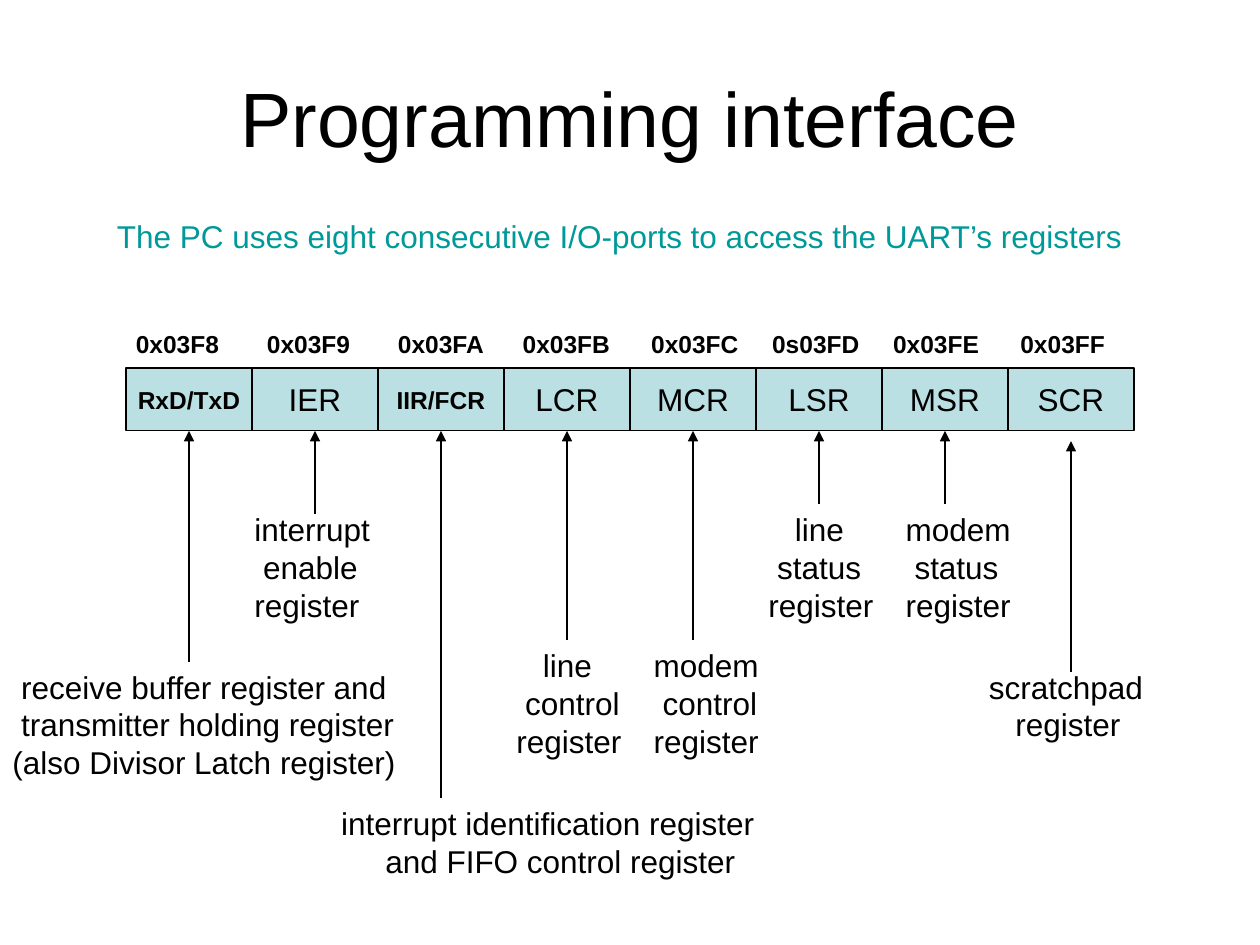
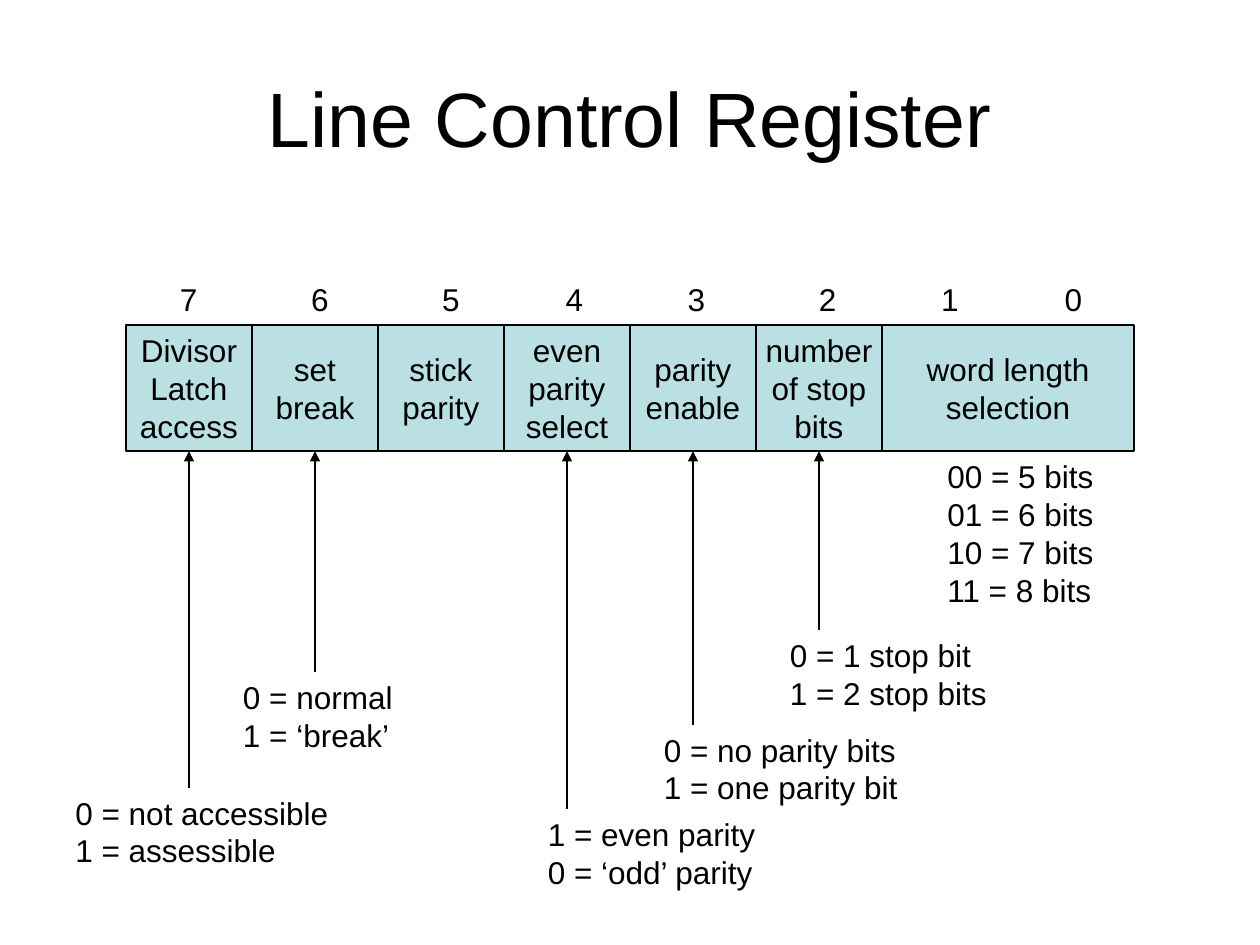
from lxml import etree
from pptx import Presentation
from pptx.dml.color import RGBColor
from pptx.enum.shapes import MSO_CONNECTOR, MSO_SHAPE
from pptx.enum.text import MSO_ANCHOR, PP_ALIGN
from pptx.oxml.ns import qn
from pptx.util import Inches, Pt

STRAIGHT = MSO_CONNECTOR.STRAIGHT
RECTANGLE = MSO_SHAPE.RECTANGLE
MIDDLE = MSO_ANCHOR.MIDDLE
LEFT, CENTER = PP_ALIGN.LEFT, PP_ALIGN.CENTER

COLORS = {"text": "000000", "accent": "009999", "cell": "BBE0E3"}
FONT = "Arial"
BOTTOM_SIDE = 2
ROW_LEFT = 1

# Cells: text, columns spanned, size, bold.
# Labels: text, left, top, width, indent of each line, arrow column, arrow start, arrow gap.
SLIDES = [
    {
        "title": "Programming interface",
        "row_top": 2.92,
        "row_height": 0.5,
        "heads": ["0x03F8", "0x03F9", "0x03FA", "0x03FB",
                  "0x03FC", "0s03FD", "0x03FE", "0x03FF"],
        "head_box": (0.98, 2.56, 7.93, 0.34),
        "head_tabs": [1.04, 2.08, 3.07, 4.09, 5.05, 6.01, 7.02],
        "head_size": 14,
        "head_bold": True,
        "cells": [
            ("RxD/TxD", 1, 14, True), ("IER", 1, 18, False),
            ("IIR/FCR", 1, 14, True), ("LCR", 1, 18, False),
            ("MCR", 1, 18, False), ("LSR", 1, 18, False),
            ("MSR", 1, 18, False), ("SCR", 1, 18, False),
        ],
        "labels": [
            ("receive buffer register and\ntransmitter holding register\n"
             "(also Divisor Latch register)", 0, 5.25, 3.33, (0.07, 0.07, 0), 0, 5.25, 0),
            ("interrupt\nenable\nregister", 1.92, 4, 1.11, (0, 0.07, 0), 1, 4.08, 0),
            ("interrupt identification register\nand FIFO control register",
             2.33, 6.33, 4, (0.28, 0.63), 2, 6.33, 0),
            ("line\ncontrol\nregister", 4, 5.08, 1.03, (0.21, 0.07, 0), 3, 5.08, 0),
            ("modem\ncontrol\nregister", 5.09, 5.08, 1.03, (0, 0.07, 0), 4, 5.08, 0),
            ("line\nstatus\nregister", 6, 4, 1.03, (0.21, 0.07, 0), 5, 4, 0),
            ("modem\nstatus\nregister", 7.09, 4, 1.03, (0, 0.07, 0), 6, 4, 0),
            ("scratchpad\nregister", 7.75, 5.25, 1.42, (0, 0.21), 7, 5.33, 0.08),
        ],
    },
    {
        "title": "Line Control Register",
        "row_top": 2.58,
        "row_height": 1,
        "heads": ["7", "6", "5", "4", "3", "2", "1", "0"],
        "head_box": (1.33, 2.17, 7.35, 0.4),
        "head_tabs": [1.04, 2.08, 3.06, 4.03, 5.07, 6.04, 7.02],
        "head_size": 18,
        "head_bold": False,
        "cells": [
            ("Divisor\nLatch\naccess", 1, 18, False), ("set\nbreak", 1, 18, False),
            ("stick\nparity", 1, 18, False), ("even\nparity\nselect", 1, 18, False),
            ("parity\nenable", 1, 18, False), ("number\nof stop\nbits", 1, 18, False),
            ("word length\nselection", 2, 18, False),
        ],
        "labels": [
            ("0 = not accessible\n1 = assessible", 0.5, 6.25, 2.21, (0, 0), 0, 6.25, 0),
            ("0 = normal\n1 = ‘break’", 1.83, 5.33, 1.39, (0, 0), 1, 5.33, 0),
            ("1 = even parity\n0 = ‘odd’ parity", 4.25, 6.42, 1.84, (0, 0), 3, 6.42, 0),
            ("0 = no parity bits\n1 = one parity bit", 5.17, 5.75, 2.12, (0, 0), 4, 5.75, 0),
            ("0 = 1 stop bit\n1 = 2 stop bits", 6.17, 5, 1.76, (0, 0), 5, 5, 0),
            ("00 = 5 bits\n01 = 6 bits\n10 = 7 bits\n11 = 8 bits",
             7.42, 3.58, 1.36, (0, 0, 0, 0), None, None, 0),
        ],
    },
]


def write_text(shape, text, size=18, color="text", bold=False, align=LEFT):
    shape.text_frame.text = text
    for paragraph in shape.text_frame.paragraphs:
        paragraph.alignment = align
        paragraph.font.name = FONT
        paragraph.font.size = Pt(size)
        paragraph.font.bold = bold
        paragraph.font.color.rgb = RGBColor.from_string(COLORS[color])


def add_text(slide, box, text, **style):
    """Add a text box whose right inset is left free for tight lines."""
    shape = slide.shapes.add_textbox(*map(Inches, box))
    shape.text_frame.word_wrap = True
    shape.text_frame.margin_right = 0
    write_text(shape, text, **style)
    return shape


presentation = Presentation()
presentation.slide_width = Inches(10)
presentation.slide_height = Inches(7.5)

for content in SLIDES:
    slide = presentation.slides.add_slide(presentation.slide_layouts[6])
    title = add_text(slide, (0.5, 0.3, 9, 1.25), content["title"], size=44, align=CENTER)
    title.text_frame.margin_right = Inches(0.1)
    title.text_frame.vertical_anchor = MIDDLE

    # Row of register cells
    cells = []
    column = 0
    row_top, row_height = content["row_top"], content["row_height"]
    for text, span, size, bold in content["cells"]:
        cell = slide.shapes.add_shape(
            RECTANGLE, Inches(ROW_LEFT + column), Inches(row_top),
            Inches(span), Inches(row_height))
        cell.shadow.inherit = False
        cell.fill.solid()
        cell.fill.fore_color.rgb = RGBColor.from_string(COLORS["cell"])
        cell.line.color.rgb = RGBColor.from_string(COLORS["text"])
        cell.line.width = Pt(0.75)
        cell.text_frame.word_wrap = False
        cell.text_frame.vertical_anchor = MIDDLE
        write_text(cell, text, size=size, bold=bold, align=CENTER)
        cells.append(cell)
        column += span

    # Headings above the cells, set on tab stops
    heads = add_text(slide, content["head_box"], "\t".join(content["heads"]),
                     size=content["head_size"], bold=content["head_bold"])
    properties = heads.text_frame.paragraphs[0]._p.get_or_add_pPr()
    tab_list = etree.Element(qn("a:tabLst"))
    for position in content["head_tabs"]:
        etree.SubElement(tab_list, qn("a:tab"), pos=str(Inches(position)), algn="l")
    properties.insert(0, tab_list)

    # Explanations below, each with an arrow up to its cell
    for text, left, top, width, indents, column, start, gap in content["labels"]:
        label = add_text(slide, (left, top, width, 0.1 + 0.3 * len(indents)), text)
        for paragraph, indent in zip(label.text_frame.paragraphs, indents):
            paragraph._p.get_or_add_pPr().set("marL", str(Inches(indent)))
        if column is None:
            continue
        center = Inches(ROW_LEFT + column + 0.5)
        arrow = slide.shapes.add_connector(
            STRAIGHT, center, Inches(start), center, Inches(row_top + row_height + gap))
        if not gap:
            arrow.end_connect(cells[column], BOTTOM_SIDE)
        arrow.line.color.rgb = RGBColor.from_string(COLORS["text"])
        arrow.line.width = Pt(0.75)
        etree.SubElement(arrow.line._get_or_add_ln(), qn("a:tailEnd"), type="triangle")
        etree.SubElement(arrow._element.spPr, qn("a:effectLst"))

add_text(presentation.slides[0], (0.83, 1.67, 8.19, 0.4),
         "The PC uses eight consecutive I/O-ports to access the UART’s registers",
         color="accent")

presentation.save("out.pptx")
